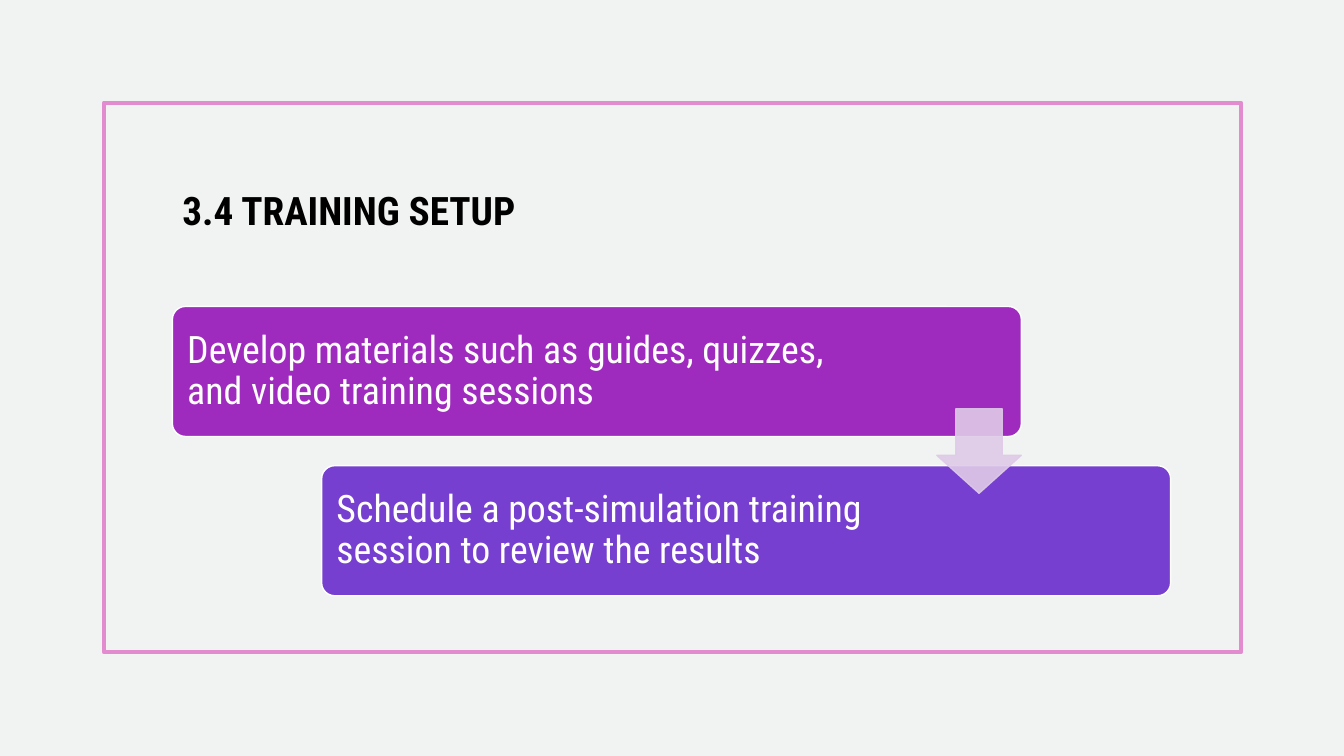
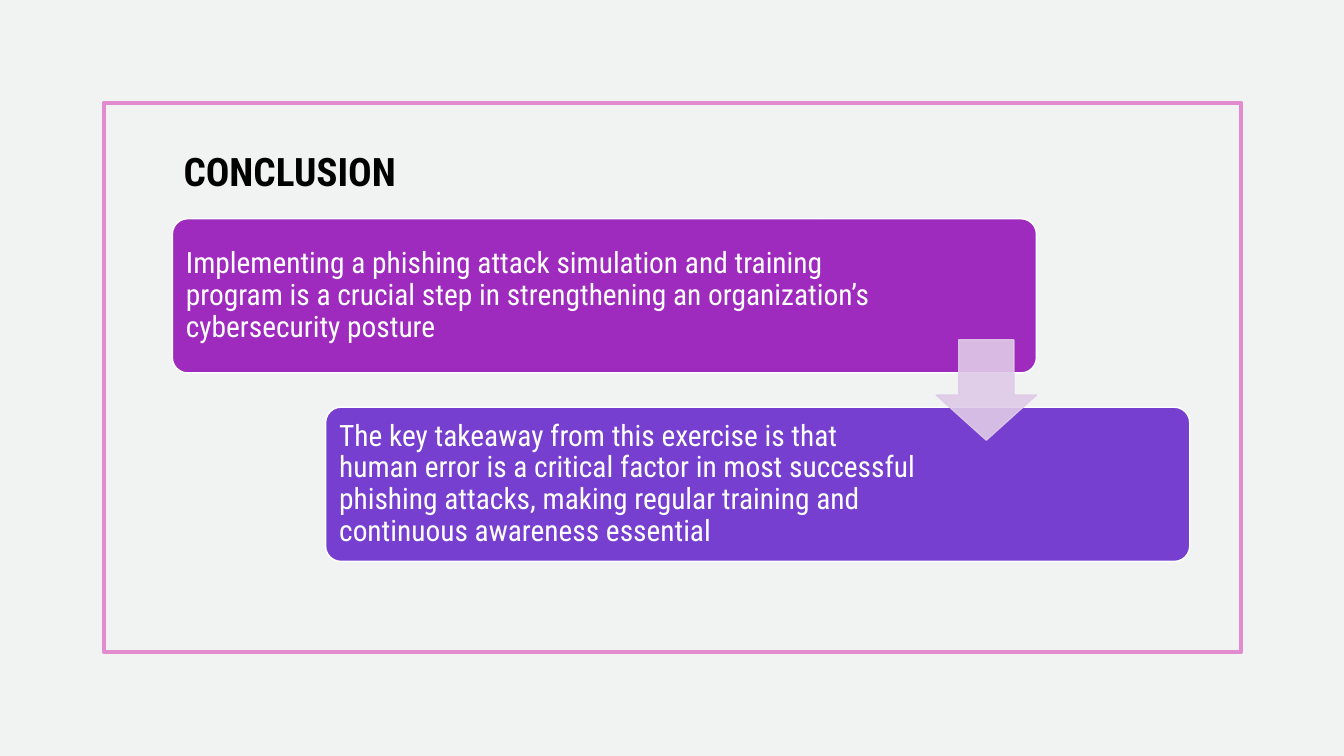
from lxml import etree
from pptx import Presentation
from pptx import util as u
from pptx.dml.color import RGBColor
from pptx.enum import shapes, text
from pptx.oxml.ns import qn

KIND = shapes.MSO_SHAPE
COLORS = {"back": "F0F3F1", "frame": "E28BCF", "title": "000000",
          "text": "FFFFFF", "edge": "FFFFFF", "arrow": "DFCAE8"}
STEPS = ["9F2BBE", "763FCF"]
FONT = "Roboto Condensed"


def paint(fill, color, alpha=None):
    """Fill with a hex colour, with an optional opacity in percent."""
    fill.solid()
    fill.fore_color.rgb = RGBColor.from_string(color)
    if alpha is not None:
        for node in fill._xPr.iter(qn("a:srgbClr")):
            etree.SubElement(node, qn("a:alpha"), val=str(alpha * 1000))


class Deck:
    def __init__(self):
        self.prs = Presentation()
        self.prs.slide_width = u.Inches(13.33)
        self.prs.slide_height = u.Inches(7.5)
        paint(self.prs.slide_master.background.fill, COLORS["back"])
        self.slide = None

    # Text style
    def label(self, shape, words, color, size, space, pads, bold=False):
        frame = shape.text_frame
        frame.text = words
        sides = ("margin_left", "margin_top", "margin_right", "margin_bottom")
        form = dict(zip(sides, map(u.Inches, pads)), word_wrap=True,
                    auto_size=text.MSO_AUTO_SIZE.NONE,
                    vertical_anchor=text.MSO_ANCHOR.MIDDLE)
        para = frame.paragraphs[0]
        styles = [(frame, form),
                  (para, {"alignment": text.PP_ALIGN.LEFT, "line_spacing": space}),
                  (para.font, {"name": FONT, "size": u.Pt(size), "bold": bold})]
        for item, values in styles:
            for name, value in values.items():
                setattr(item, name, value)
        paint(para.font.fill, color)

    # Preset shape
    def shape(self, kind, box, fill, line, width, adj=(), alpha=None):
        item = self.slide.shapes.add_shape(kind, *map(u.Inches, box))
        item.shadow.inherit = False
        for i, value in enumerate(adj):
            item.adjustments[i] = value
        if fill:
            paint(item.fill, fill, alpha)
        else:
            item.fill.background()
        paint(item.line.fill, line, alpha)
        item.line.width = u.Pt(width)
        return item

    # New slide with frame and title
    def start(self, words, box):
        self.slide = self.prs.slides.add_slide(self.prs.slide_layouts[5])
        self.shape(KIND.RECTANGLE, (1.03, 1.02, 11.28, 5.45),
                   None, COLORS["frame"], 3)
        title = self.slide.shapes.title
        for name, value in zip(("left", "top", "width", "height"), box):
            setattr(title, name, u.Inches(value))
        self.label(title, words, COLORS["title"], 28, 1.2,
                   (0.1, 0.05, 0.1, 0.05), True)

    # Staircase of two boxes joined by a block arrow
    def stairs(self, box, shift, drop, size, pad, steps):
        left, top, width, height = box
        for i, (color, (words, room)) in enumerate(zip(STEPS, steps)):
            item = self.shape(KIND.ROUNDED_RECTANGLE,
                              (left + i * shift, top + i * drop, width, height),
                              color, COLORS["edge"], 1, (0.1,))
            right = width - 0.08 - room + pad
            self.label(item, words, COLORS["text"], size, 0.9,
                       (pad, pad, right, pad))
        side = 0.65 * height
        middle = top + (height + drop) / 2
        self.shape(KIND.DOWN_ARROW,
                   (left + width - side, middle - side / 2, side, side),
                   COLORS["arrow"], COLORS["arrow"], 1, (0.55, 0.45), 90)


def main():
    deck = Deck()

    # Training setup
    deck.start("3.4 TRAINING SETUP", (1.71, 1.42, 7.47, 1.23))
    deck.stairs((1.71, 3.04, 8.42, 1.29), 1.48, 1.58, 27, 0.11, [
        ("Develop materials such as guides, quizzes, and video training "
         "sessions", 7.08),
        ("Schedule a post-simulation training session to review the "
         "results", 6.02)])

    # Conclusion
    deck.start("CONCLUSION", (1.72, 1.27, 7.47, 0.75))
    deck.stairs((1.71, 2.17, 8.57, 1.53), 1.52, 1.87, 21, 0.09, [
        ("Implementing a phishing attack simulation and training program is "
         "a crucial step in strengthening an organization’s cybersecurity "
         "posture", 6.99),
        ("The key takeaway from this exercise is that human error is a "
         "critical factor in most successful phishing attacks, making "
         "regular training and continuous awareness essential", 5.98)])

    deck.prs.save("out.pptx")


if __name__ == "__main__":
    main()
